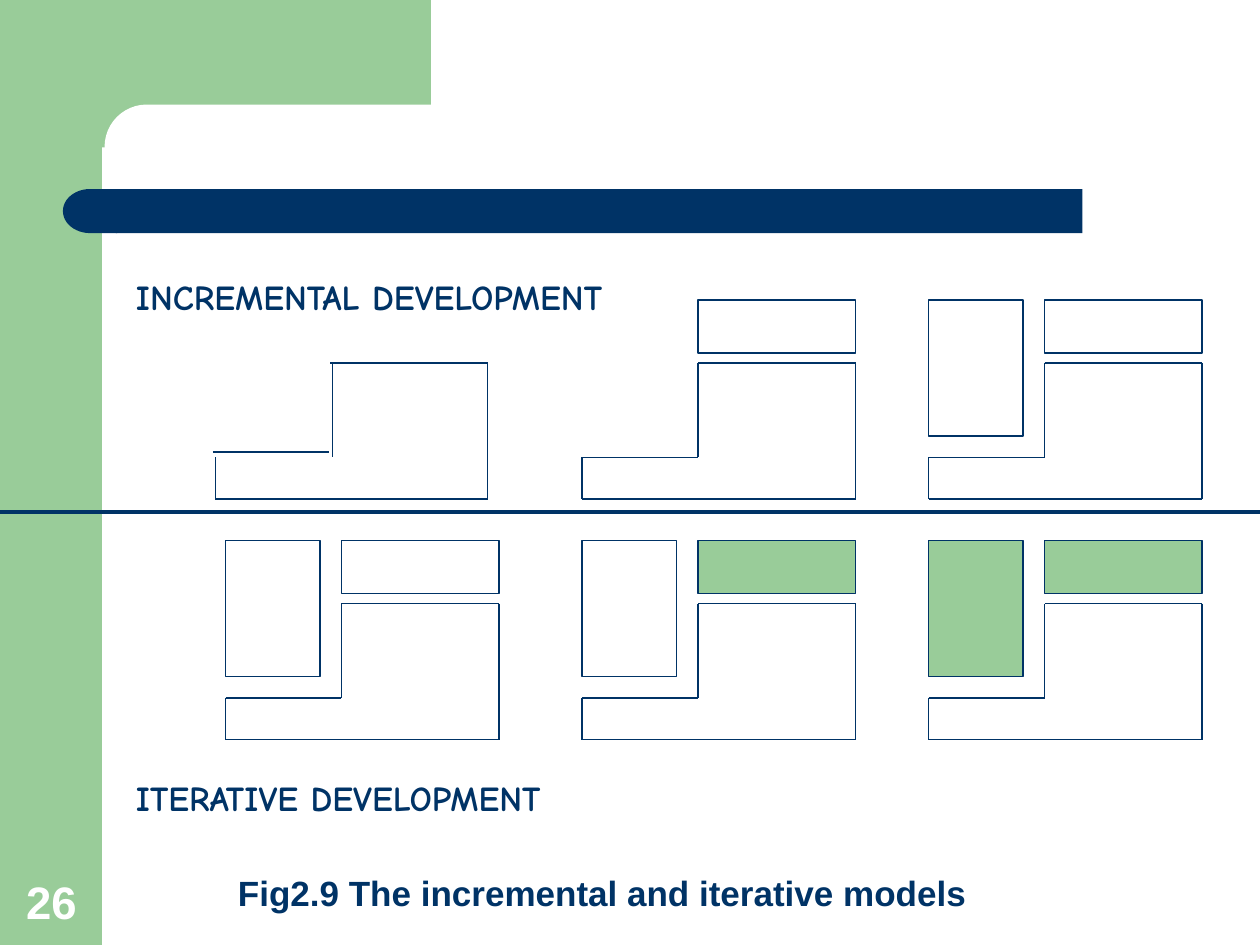
from lxml.etree import SubElement
from pptx import Presentation
from pptx.dml.color import RGBColor
from pptx.enum.shapes import MSO_CONNECTOR, MSO_SHAPE
from pptx.enum.text import MSO_ANCHOR
from pptx.oxml.ns import qn
from pptx.util import Inches, Pt

COLORS = {"green": "99CC99", "navy": "003366", "white": "FFFFFF"}
COLUMNS = (1.79, 4.62, 7.37)
INCREMENTAL_TOP, ITERATIVE_TOP = 2.38, 4.29
RIGHT_PART = 0.92  # offset of the right-hand parts from the left of a model


def color(name):
    return RGBColor.from_string(COLORS[name])


def add_block(page, kind, left, top, width, height, fill=None, line=None):
    shape = page.shapes.add_shape(
        kind, Inches(left), Inches(top), Inches(width), Inches(height))
    shape.shadow.inherit = False
    if fill:
        shape.fill.solid()
        shape.fill.fore_color.rgb = color(fill)
    else:
        shape.fill.background()
    if line:
        shape.line.color.rgb = color(line)
        shape.line.width = Pt(1)
    else:
        shape.line.fill.background()
    return shape


def add_line(page, start, end, width=1):
    line = page.shapes.add_connector(
        MSO_CONNECTOR.STRAIGHT, *(Inches(value) for value in (*start, *end)))
    line.line.color.rgb = color("navy")
    line.line.width = Pt(width)
    SubElement(line._element.spPr, qn("a:effectLst"))


def add_label(page, text, left, top, width, height, size, font="Arial",
              ink="navy", anchor=MSO_ANCHOR.TOP, spacing=1.0):
    box = page.shapes.add_textbox(
        Inches(left), Inches(top), Inches(width), Inches(height))
    frame = box.text_frame
    frame.word_wrap = True
    frame.vertical_anchor = anchor
    frame.text = text
    para = frame.paragraphs[0]
    para.line_spacing = spacing
    span = para.runs[0]
    span.font.name = font
    span.font.size = Pt(size)
    span.font.bold = True
    span.font.color.rgb = color(ink)


def add_background(page):
    add_block(page, MSO_SHAPE.RECTANGLE, 0, 0, 0.81, 7.5, "green")
    add_block(page, MSO_SHAPE.RECTANGLE, 0.73, 0, 2.69, 1.17, "green")
    corner = add_block(page, MSO_SHAPE.ROUNDED_RECTANGLE, 0.83, 0.83, 5.58, 0.67, "white")
    corner.adjustments[0] = 0.5
    add_block(page, MSO_SHAPE.RECTANGLE, 0.92, 1.5, 7.67, 0.35, "navy")
    cap = add_block(page, MSO_SHAPE.FLOWCHART_DELAY, 0.5, 1.5, 0.43, 0.35, "navy")
    cap._element.spPr.xfrm.set("flipH", "1")


def add_base(page, left, top):
    """Draw the stepped base part of a model whose upper parts start at top."""
    step, right = left + RIGHT_PART, left + 2.17
    upper, middle, lower = top + 0.5, top + 1.25, top + 1.58
    corners = [(left, lower), (left, middle), (step, middle),
               (step, upper), (right, upper), (right, lower)]
    for start, end in zip(corners, corners[1:] + corners[:1]):
        add_line(page, start, end)


def add_loose_base(page):
    """Draw the first base, whose lines do not quite meet."""
    for start, end in (
        ((2.64, 2.88), (2.64, 3.63)),
        ((1.69, 3.59), (2.61, 3.59)),
        ((2.62, 2.88), (3.87, 2.88)),
        ((3.87, 2.88), (3.87, 3.96)),
        ((1.71, 3.63), (1.71, 3.96)),
        ((1.71, 3.96), (3.87, 3.96)),
    ):
        add_line(page, start, end)


def add_tall_part(page, left, top, fill=None):
    add_block(page, MSO_SHAPE.RECTANGLE, left, top, 0.75, 1.08, fill, "navy")


def add_wide_part(page, left, top, fill=None):
    add_block(page, MSO_SHAPE.RECTANGLE, left + RIGHT_PART, top, 1.25, 0.42, fill, "navy")


def add_incremental_row(page):
    second, third = COLUMNS[1:]
    add_loose_base(page)
    for left in (second, third):
        add_base(page, left, INCREMENTAL_TOP)
        add_wide_part(page, left, INCREMENTAL_TOP)
    add_tall_part(page, third, INCREMENTAL_TOP)


def add_iterative_row(page):
    tall_fills = (None, None, "green")
    wide_fills = (None, "green", "green")
    for left, tall_fill, wide_fill in zip(COLUMNS, tall_fills, wide_fills):
        add_base(page, left, ITERATIVE_TOP)
        add_tall_part(page, left, ITERATIVE_TOP, tall_fill)
        add_wide_part(page, left, ITERATIVE_TOP, wide_fill)


def main():
    deck = Presentation()
    deck.slide_width, deck.slide_height = Inches(10), Inches(7.5)
    page = deck.slides.add_slide(deck.slide_layouts[6])
    add_background(page)
    add_label(page, "26", 0.11, 6.88, 0.64, 0.54, 26, ink="white",
              anchor=MSO_ANCHOR.BOTTOM)
    add_label(page, "Fig2.9 The incremental and iterative models",
              1.79, 6.71, 7.78, 0.59, 20, anchor=MSO_ANCHOR.BOTTOM, spacing=0.9)
    add_incremental_row(page)
    add_iterative_row(page)
    for text, top in (("INCREMENTAL DEVELOPMENT", 2.14), ("ITERATIVE DEVELOPMENT", 6.11)):
        add_label(page, text, 0.98, top, 4.92, 0.44, 20, "Comic Neue")
    add_line(page, (0, 4.06), (10, 4.06), 2.25)
    deck.save("out.pptx")


if __name__ == "__main__":
    main()
